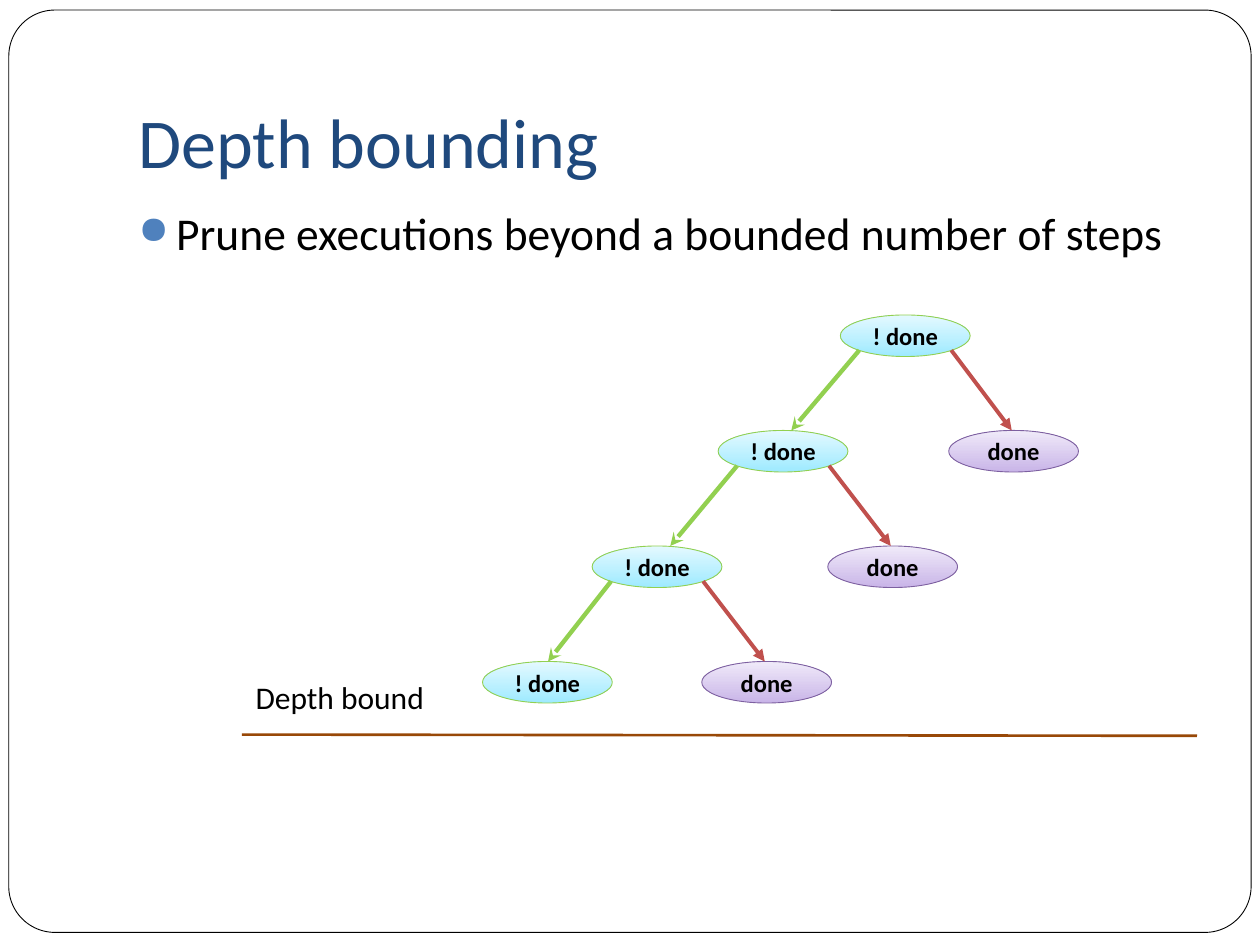
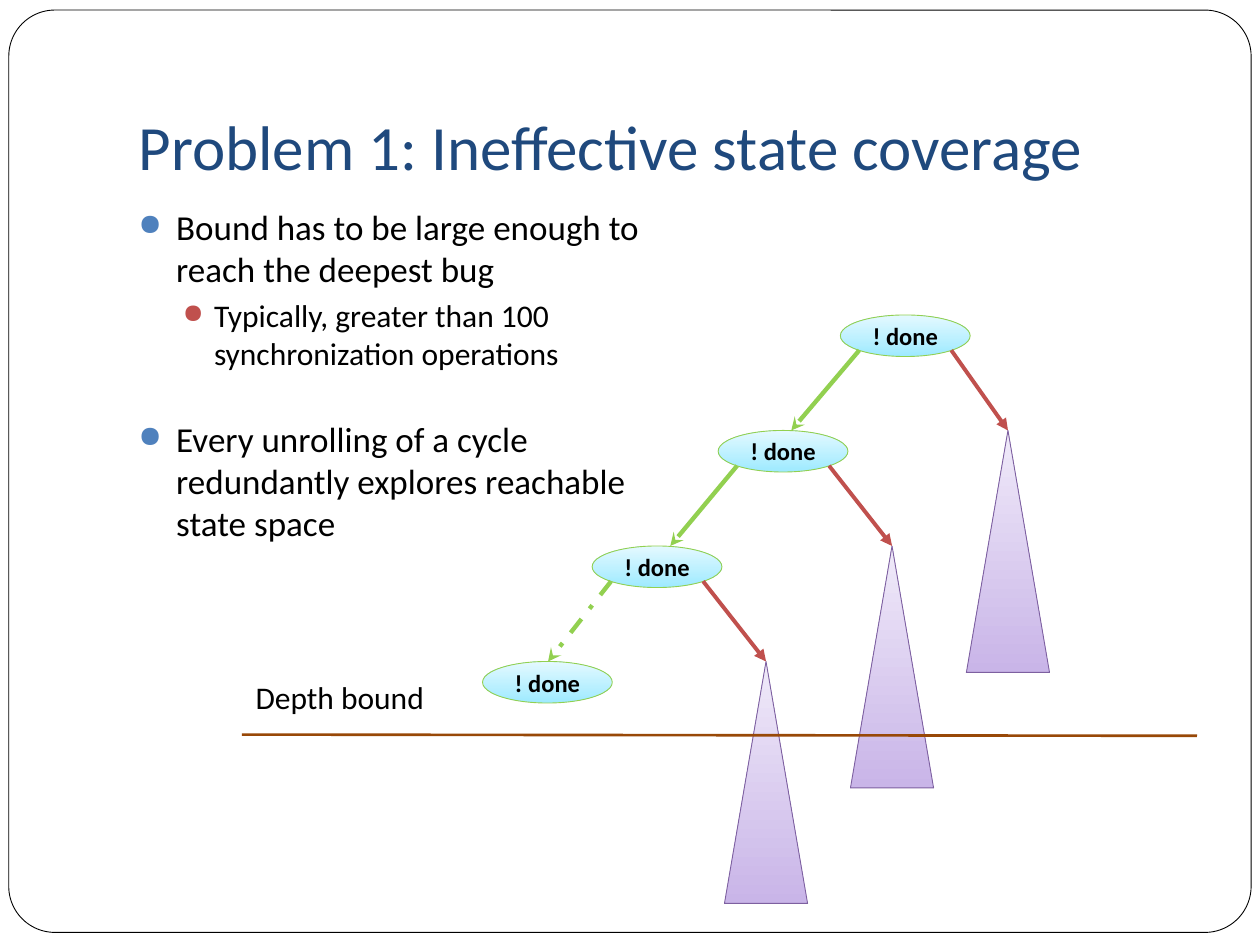
from dataclasses import dataclass

from lxml import etree
from pptx import Presentation
from pptx.dml.color import RGBColor
from pptx.enum.dml import MSO_LINE
from pptx.enum.shapes import MSO_CONNECTOR, MSO_SHAPE
from pptx.enum.text import MSO_ANCHOR, MSO_AUTO_SIZE, PP_ALIGN
from pptx.oxml.ns import qn
from pptx.util import Inches, Pt

ELLIPSE = MSO_SHAPE.OVAL
TRIANGLE = MSO_SHAPE.ISOSCELES_TRIANGLE
ROUNDED = MSO_SHAPE.ROUNDED_RECTANGLE
STRAIGHT = MSO_CONNECTOR.STRAIGHT
DASH_DOT = MSO_LINE.DASH_DOT
LEFT, CENTER = PP_ALIGN.LEFT, PP_ALIGN.CENTER
MIDDLE, BOTTOM = MSO_ANCHOR.MIDDLE, MSO_ANCHOR.BOTTOM
NO_AUTOFIT, GROW = MSO_AUTO_SIZE.NONE, MSO_AUTO_SIZE.SHAPE_TO_FIT_TEXT

FONT = "Calibri"
COLORS = {
    "text": "000000",
    "title": "1F497D",
    "bullet": "4F81BD",
    "sub_bullet": "C0504D",
    "continue": "92D050",
    "finish": "C0504D",
    "done_line": "7D60A0",
    "bound": "984807",
}
BLUE_GRADIENT = ("9EEAFF", "E4F9FF")
PURPLE_GRADIENT = ("C9B5E8", "F0EAF9")

NODE_WIDTH, NODE_HEIGHT = 1.03, 0.33
CONE_WIDTH, CONE_HEIGHT = 0.66, 1.92
TREE_TOP, LEVEL_STEP = 2.5, 2.75 / 3


@dataclass
class Level:
    left: float
    continue_end: float
    done_left: float
    cone_left: float


@dataclass
class Bullet:
    text: str
    size: float
    margin: float
    hanging: float
    color: str
    space_before: float = 0


LEVELS = [
    Level(6.67, 6.28, 7.53, 7.67),
    Level(5.7, 5.32, 6.57, 6.75),
    Level(4.7, 4.35, 5.57, 5.75),
]
LAST_LEFT = 3.83


def rgb(name: str) -> RGBColor:
    return RGBColor.from_string(COLORS.get(name, name))


def level_top(index: int) -> float:
    return TREE_TOP + index * LEVEL_STEP


def add_span(para, text: str, size: float, color: str = "text", bold: bool = False) -> None:
    span = para.add_run()
    span.text = text
    span.font.name = FONT
    span.font.size = Pt(size)
    span.font.bold = bold
    span.font.color.rgb = rgb(color)


def set_insets(frame, bottom: float = 0.05) -> None:
    frame.margin_left = frame.margin_right = Inches(0.1)
    frame.margin_top, frame.margin_bottom = Inches(0.05), Inches(bottom)


def add_outline_shape(page, kind, left: float, top: float, width: float, height: float, line: str):
    shape = page.shapes.add_shape(kind, Inches(left), Inches(top), Inches(width), Inches(height))
    shape.shadow.inherit = False
    shape.line.color.rgb = rgb(line)
    shape.line.width = Pt(0.5)
    return shape


def fill_gradient(shape, colors: tuple[str, str]) -> None:
    shape.fill.gradient()
    shape.fill.gradient_angle = 90
    for stop, color in zip(shape.fill.gradient_stops, colors):
        stop.color.rgb = rgb(color)


def add_node(page, left: float, top: float, text: str, line: str, colors: tuple[str, str]) -> None:
    node = add_outline_shape(page, ELLIPSE, left, top, NODE_WIDTH, NODE_HEIGHT, line)
    fill_gradient(node, colors)
    frame = node.text_frame
    frame.word_wrap = True
    frame.vertical_anchor = MIDDLE
    set_insets(frame)
    frame.paragraphs[0].alignment = CENTER
    add_span(frame.paragraphs[0], text, 14, bold=True)


def add_running(page, left: float, top: float) -> None:
    add_node(page, left, top, "! done", "continue", BLUE_GRADIENT)


def add_cone(page, left: float, top: float) -> None:
    cone = add_outline_shape(page, TRIANGLE, left, top, CONE_WIDTH, CONE_HEIGHT, "done_line")
    fill_gradient(cone, PURPLE_GRADIENT)


def add_line(page, start: tuple[float, float], end: tuple[float, float], color: str,
             width: float, arrow: str = "", dash=None) -> None:
    line = page.shapes.add_connector(STRAIGHT, *(Inches(value) for value in start + end))
    line.line.color.rgb = rgb(color)
    line.line.width = Pt(width)
    if dash:
        line.line.dash_style = dash
    properties = line.element.spPr
    if arrow:
        etree.SubElement(properties.find(qn("a:ln")), qn("a:tailEnd"), type=arrow)
    etree.SubElement(properties, qn("a:effectLst"))


def add_tree(page, cones: bool, last_dash=None) -> None:
    for index, level in enumerate(LEVELS):
        top, below = level_top(index), level_top(index + 1)
        branch_y = top + 0.28
        if cones:
            add_cone(page, level.cone_left, below)
            finish_end = level.cone_left + CONE_WIDTH / 2
        else:
            add_node(page, level.done_left, below, "done", "done_line", PURPLE_GRADIENT)
            finish_end = level.done_left + 0.5
        add_running(page, level.left, top)
        dash = last_dash if level is LEVELS[-1] else None
        add_line(page, (level.left + 0.15, branch_y), (level.continue_end, below),
                 "continue", 2.5, "stealth", dash)
        add_line(page, (level.left + 0.88, branch_y), (finish_end, below),
                 "finish", 2.25, "triangle")
    add_running(page, LAST_LEFT, level_top(len(LEVELS)))


def add_bound(page) -> None:
    add_line(page, (1.92, 5.83), (9.5, 5.84), "bound", 1.5)
    box = page.shapes.add_textbox(Inches(1.93), Inches(5.33), Inches(1.54), Inches(0.4))
    frame = box.text_frame
    frame.word_wrap = False
    frame.auto_size = GROW
    set_insets(frame)
    add_span(frame.paragraphs[0], "Depth bound", 18)


def add_bullets(page, width: float, bullets: list[Bullet]) -> None:
    box = page.shapes.add_textbox(Inches(1), Inches(1.58), Inches(width), Inches(5))
    frame = box.text_frame
    frame.word_wrap = True
    set_insets(frame)
    for index, bullet in enumerate(bullets):
        para = frame.add_paragraph() if index else frame.paragraphs[0]
        properties = para._p.get_or_add_pPr()
        properties.set("marL", str(Inches(bullet.margin)))
        properties.set("indent", str(-Inches(bullet.hanging)))
        color = etree.SubElement(properties, qn("a:buClr"))
        etree.SubElement(color, qn("a:srgbClr"), val=COLORS[bullet.color])
        etree.SubElement(properties, qn("a:buSzPct"), val="85000")
        etree.SubElement(properties, qn("a:buChar"), char="●")
        para.space_before = Pt(bullet.space_before)
        add_span(para, bullet.text, bullet.size)


def add_page(deck, title: str, size: float):
    page = deck.slides.add_slide(deck.slide_layouts[5])
    border = add_outline_shape(page, ROUNDED, 0.07, 0.08, 9.86, 7.32, "text")
    border.adjustments[0] = 0.05
    border.fill.background()
    heading = page.shapes.title
    heading.left, heading.top = Inches(1), Inches(0.3)
    heading.width, heading.height = Inches(8.5), Inches(1.25)
    frame = heading.text_frame
    frame.auto_size = NO_AUTOFIT
    frame.word_wrap = True
    frame.vertical_anchor = BOTTOM
    set_insets(frame, bottom=0.1)
    frame.paragraphs[0].alignment = LEFT
    add_span(frame.paragraphs[0], title, size, "title")
    return page


def build_depth_bounding(deck) -> None:
    page = add_page(deck, "Depth bounding", 40)
    add_tree(page, cones=False)
    add_bound(page)
    add_bullets(page, 8.5, [
        Bullet("Prune executions beyond a bounded number of steps", 26, 0.3, 0.3, "bullet"),
    ])


def build_state_coverage(deck) -> None:
    page = add_page(deck, "Problem 1: Ineffective state coverage", 36)
    add_tree(page, cones=True, last_dash=DASH_DOT)
    add_bound(page)
    add_bullets(page, 4.58, [
        Bullet("Bound has to be large enough to reach the deepest bug", 20, 0.3, 0.3, "bullet"),
        Bullet("Typically, greater than 100 synchronization operations",
               18, 0.6, 0.25, "sub_bullet", 3.7),
        Bullet("Every unrolling of a cycle redundantly explores reachable state space",
               20, 0.3, 0.3, "bullet", 26.5),
    ])


def main() -> None:
    deck = Presentation()
    deck.slide_width, deck.slide_height = Inches(10), Inches(7.5)
    build_depth_bounding(deck)
    build_state_coverage(deck)
    deck.save("out.pptx")


if __name__ == "__main__":
    main()
